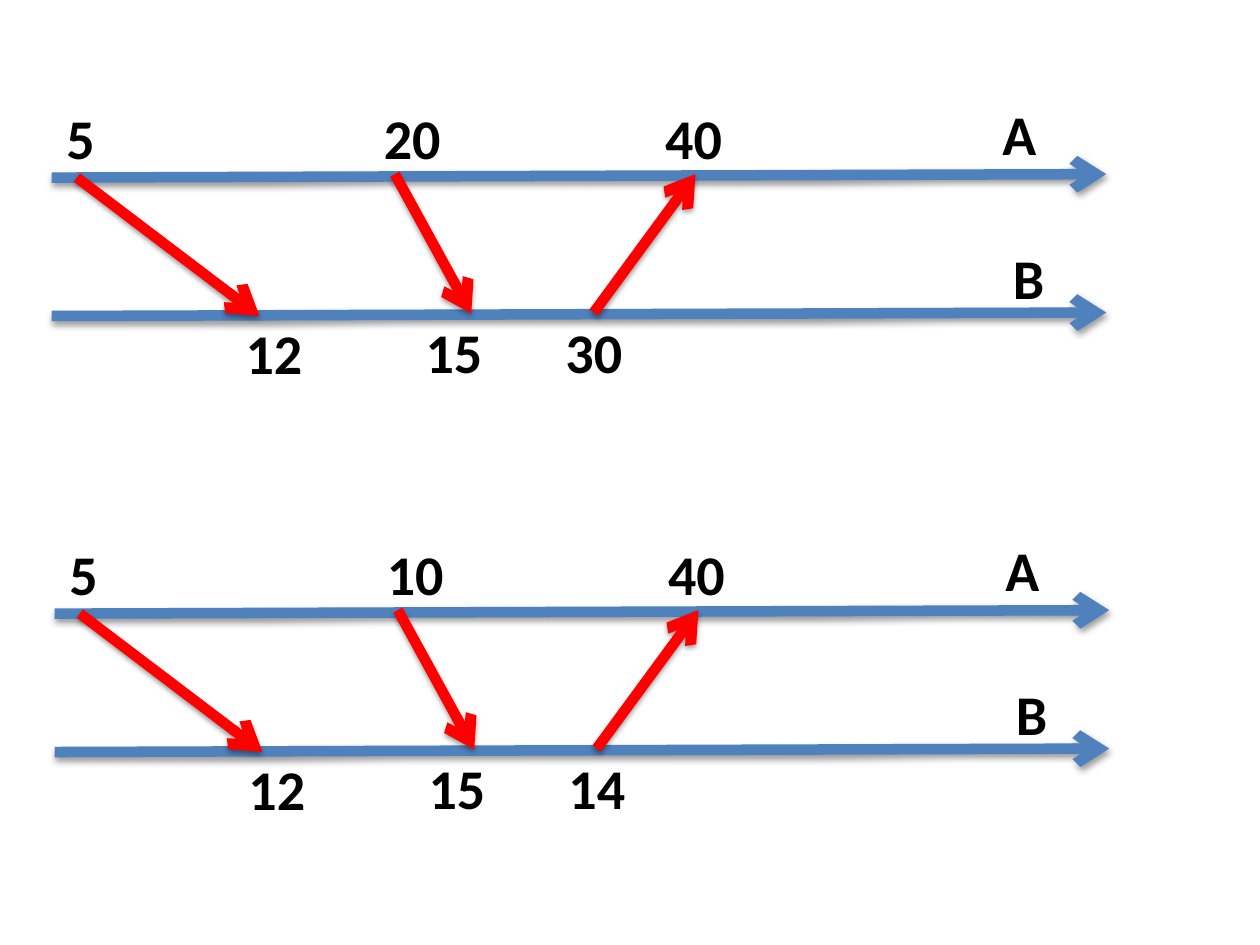
from lxml import etree
from pptx import Presentation
from pptx.dml.color import RGBColor
from pptx.enum.shapes import MSO_CONNECTOR
from pptx.enum.text import MSO_AUTO_SIZE
from pptx.oxml import parse_xml
from pptx.oxml.ns import nsdecls, qn
from pptx.util import Cm, Pt

BLUE = RGBColor(0x4F, 0x81, 0xBD)
RED = RGBColor(0xFF, 0x00, 0x00)
BLACK = RGBColor(0x00, 0x00, 0x00)

SHADOW = (
    f'<a:effectLst {nsdecls("a")}>'
    '<a:outerShdw blurRad="40000" dist="20000" dir="5400000" rotWithShape="0">'
    '<a:srgbClr val="000000"><a:alpha val="38000"/></a:srgbClr>'
    '</a:outerShdw></a:effectLst>'
)


class TimelineSlide:
    font = "Calibri"
    text_size = Pt(32)
    line_width = Pt(6)
    label_height = 1.63

    def __init__(self, slide):
        self.shapes = slide.shapes

    def arrow(self, start, end, color):
        points = [Cm(value) for value in (*start, *end)]
        connector = self.shapes.add_connector(MSO_CONNECTOR.STRAIGHT, *points)
        connector.line.width = self.line_width
        connector.line.color.rgb = color
        line = connector.line._get_or_add_ln()
        etree.SubElement(line, qn("a:tailEnd"), type="arrow")
        line.addnext(parse_xml(SHADOW))

    def label(self, text, left, top, width):
        box = self.shapes.add_textbox(Cm(left), Cm(top), Cm(width), Cm(self.label_height))
        frame = box.text_frame
        frame.word_wrap = False
        frame.auto_size = MSO_AUTO_SIZE.SHAPE_TO_FIT_TEXT
        run = frame.paragraphs[0].add_run()
        run.text = text
        run.font.name = self.font
        run.font.size = self.text_size
        run.font.bold = True
        run.font.color.rgb = BLACK

    def diagram(self, dx, dy, second_send, third_send):
        for y in (3.58, 6.37):
            self.arrow((1.04 + dx, y + dy), (22.3 + dx, y - 0.07 + dy), BLUE)
        messages = [
            ((1.55, 3.58), (5.23, 6.37)),
            ((7.96, 3.51), (9.5, 6.32)),
            ((11.97, 6.3), (14.02, 3.51)),
        ]
        for (x1, y1), (x2, y2) in messages:
            self.arrow((x1 + dx, y1 + dy), (x2 + dx, y2 + dy), RED)
        labels = [
            ("A", 19.96, 1.88, 1.19),
            ("B", 20.17, 4.78, 1.14),
            ("5", 1.09, 1.96, 1.09),
            ("12", 4.7, 6.3, 1.68),
            (second_send, 7.49, 1.96, 1.68),
            ("15", 8.33, 6.27, 1.68),
            (third_send, 11.15, 6.27, 1.68),
            ("40", 13.16, 1.96, 1.68),
        ]
        for text, left, top, width in labels:
            self.label(text, left + dx, top + dy, width)


presentation = Presentation()
presentation.slide_width = Cm(25.4)
presentation.slide_height = Cm(19.05)
page = TimelineSlide(presentation.slides.add_slide(presentation.slide_layouts[6]))
page.diagram(0, 0, "20", "30")
page.diagram(0.06, 8.79, "10", "14")
presentation.save("out.pptx")
